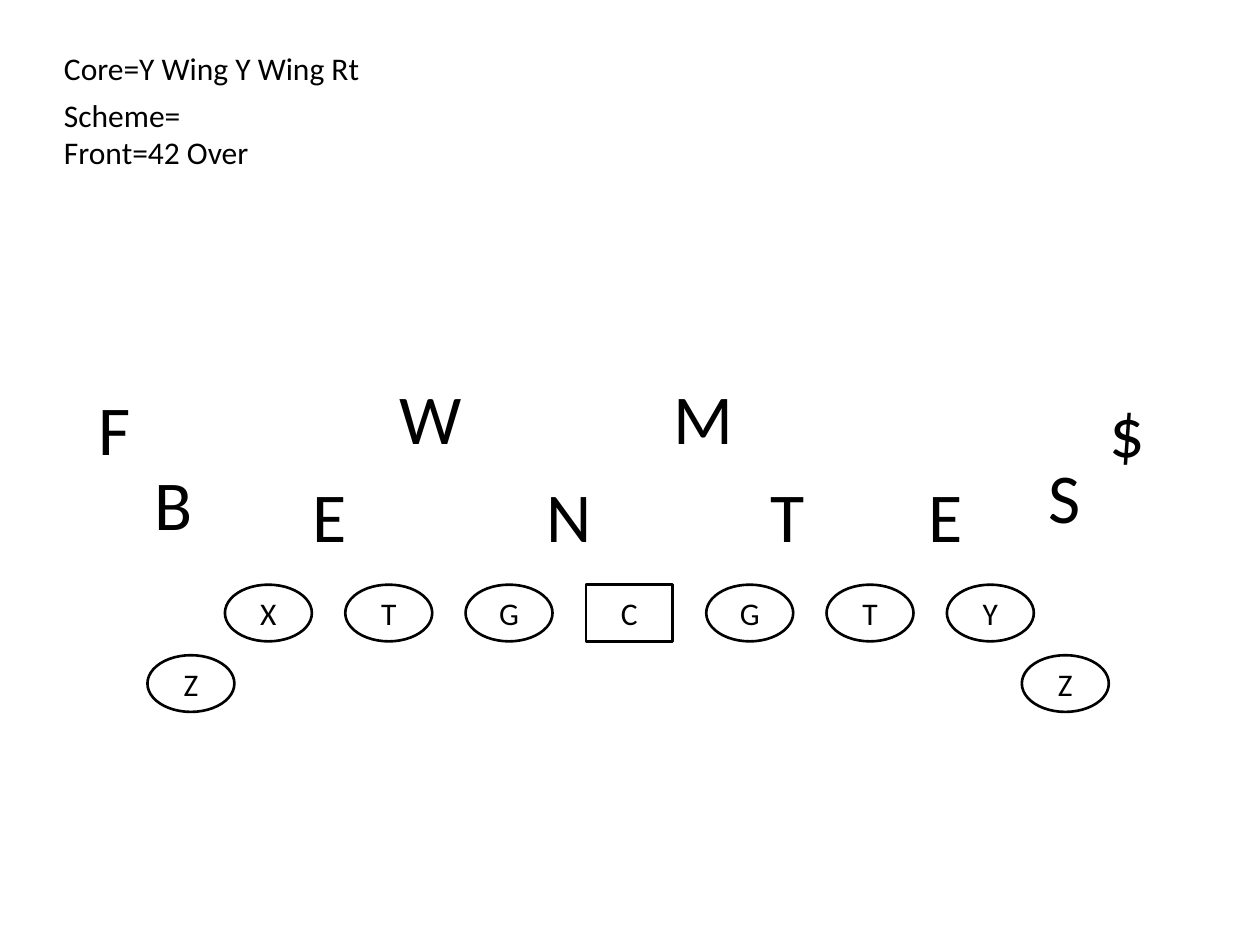
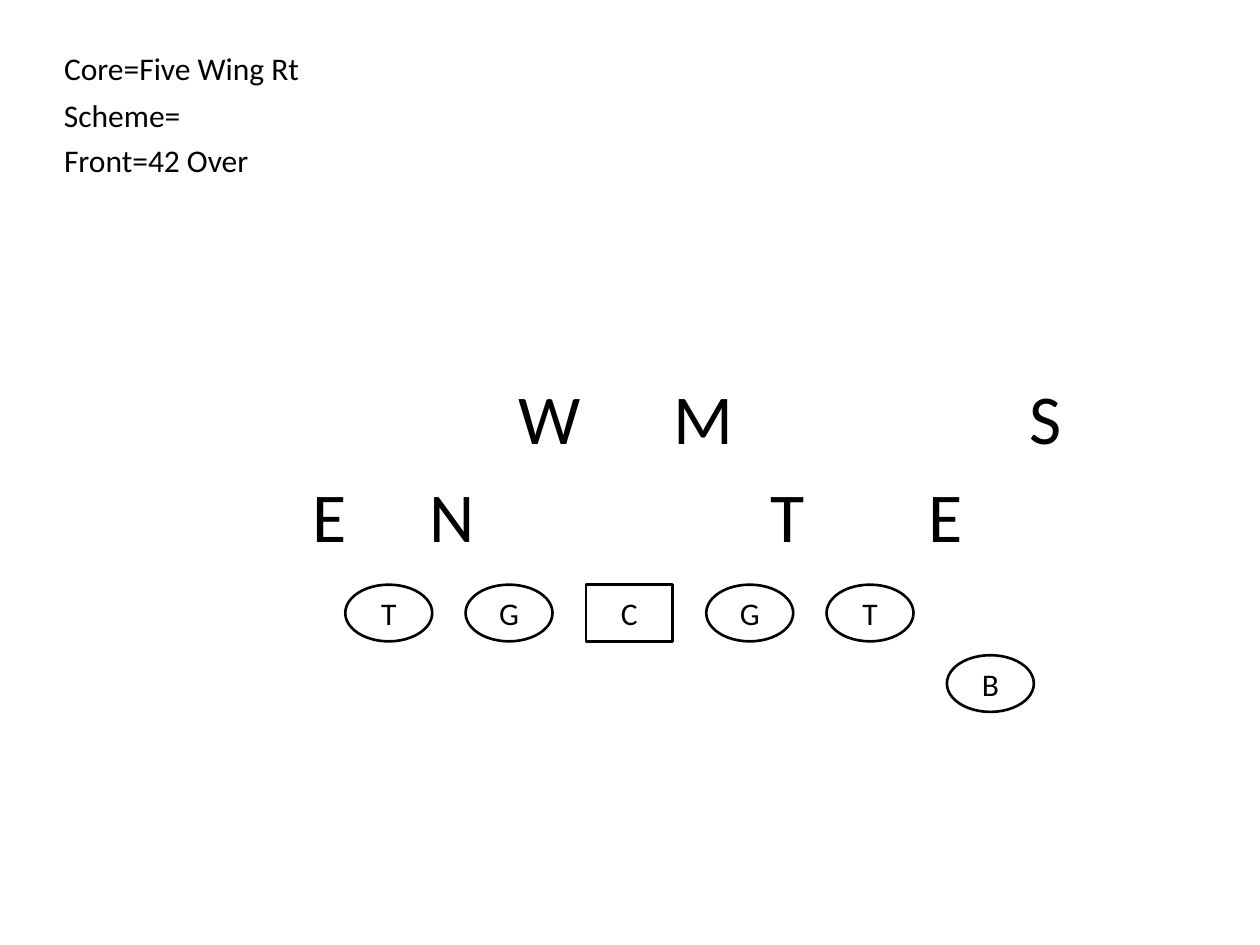
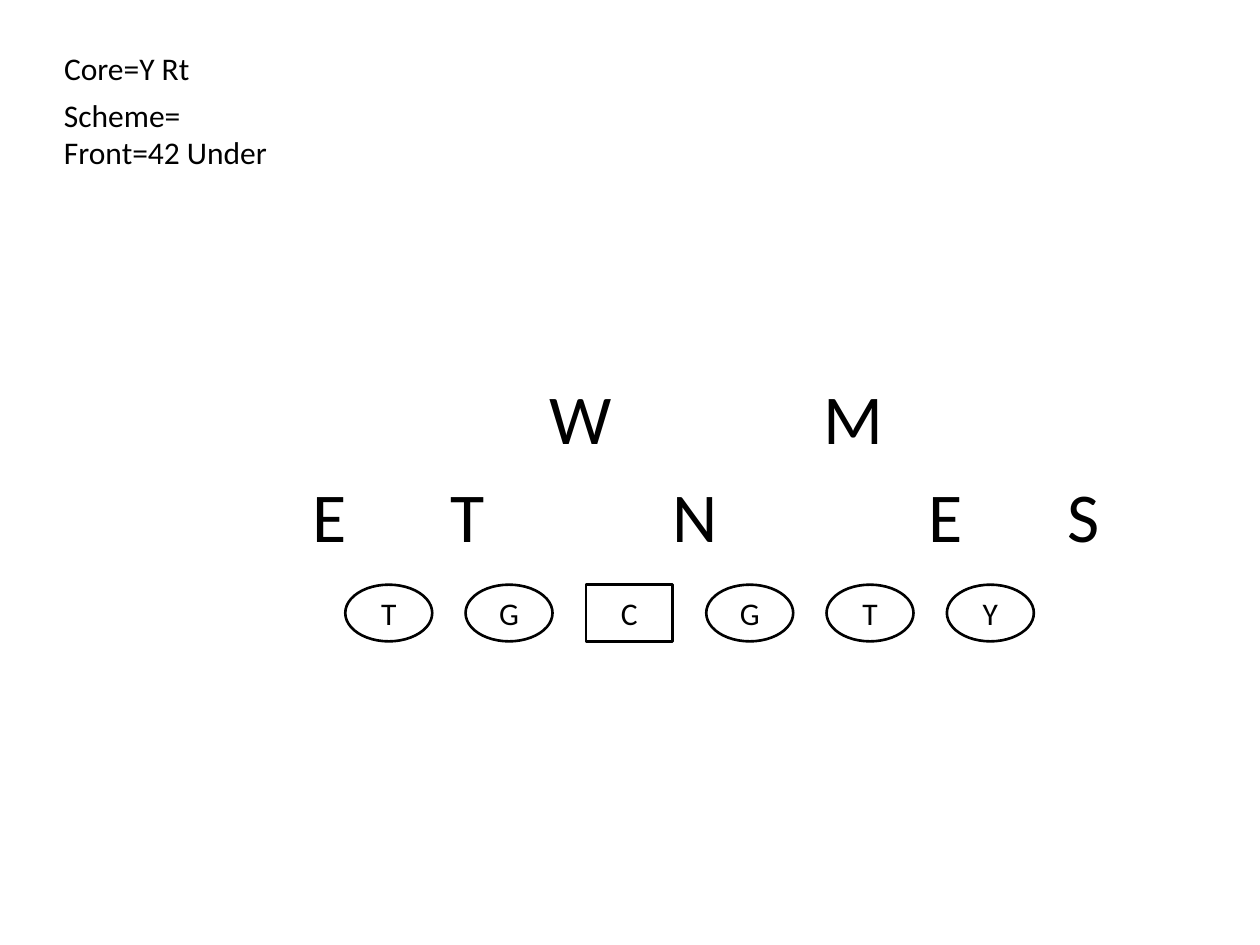
from pptx import Presentation
from pptx.dml.color import RGBColor
from pptx.enum.shapes import MSO_SHAPE
from pptx.enum.text import MSO_ANCHOR, MSO_AUTO_SIZE, PP_ALIGN
from pptx.util import Inches, Pt

BLACK = RGBColor(0x00, 0x00, 0x00)
WHITE = RGBColor(0xFF, 0xFF, 0xFF)

CENTER_LEFT = 4.65
LINE_PITCH = 0.955
LINE_TOP = 4.64
WING_TOP = 5.2
FRONT_TOP = 3.7
BACKER_TOP = 2.92

DEFENDER_WIDTHS = {"N": 0.56, "W": 0.7, "M": 0.7, "B": 0.51, "$": 0.39, "F": 0.35}
WRAPPED_DEFENDERS = {"$", "F"}


def slot_left(slot):
    """Left edge of a place on the line, counted from the center."""
    return CENTER_LEFT + slot * LINE_PITCH


class Playbook:
    font_name = "Calibri"
    note_size = Pt(18)
    defender_size = Pt(40)

    def __init__(self):
        self.deck = Presentation()
        self.deck.slide_width = Inches(10)
        self.deck.slide_height = Inches(7.5)
        self.slide = None

    def add_play(self, core, core_width, front, front_width, front_top=1.01):
        """Start a slide with its notes and the five interior linemen."""
        self.slide = self.deck.slides.add_slide(self.deck.slide_layouts[6])
        self.text(core, 0.41, 0.34, core_width, 0.4, self.note_size)
        self.text("Scheme=", 0.41, 0.71, 1.14, 0.4, self.note_size)
        self.text(front, 0.41, front_top, front_width, 0.4, self.note_size)
        for slot, position in enumerate("TGCGT", start=-2):
            self.player(position, slot_left(slot))

    def style(self, paragraph, size):
        paragraph.font.name = self.font_name
        paragraph.font.size = size
        paragraph.font.color.rgb = BLACK

    def text(self, words, left, top, width, height, size, wrap=False):
        box = self.slide.shapes.add_textbox(
            Inches(left), Inches(top), Inches(width), Inches(height))
        frame = box.text_frame
        frame.word_wrap = wrap
        frame.auto_size = MSO_AUTO_SIZE.SHAPE_TO_FIT_TEXT
        frame.text = words
        self.style(frame.paragraphs[0], size)

    def player(self, position, left, top=LINE_TOP):
        outline = MSO_SHAPE.RECTANGLE if position == "C" else MSO_SHAPE.OVAL
        marker = self.slide.shapes.add_shape(
            outline, Inches(left), Inches(top), Inches(0.69), Inches(0.45))
        marker.shadow.inherit = False
        marker.fill.solid()
        marker.fill.fore_color.rgb = WHITE
        marker.line.color.rgb = BLACK
        marker.line.width = Pt(1.5)
        frame = marker.text_frame
        frame.vertical_anchor = MSO_ANCHOR.MIDDLE
        frame.text = position
        frame.paragraphs[0].alignment = PP_ALIGN.CENTER
        self.style(frame.paragraphs[0], self.note_size)

    def defender(self, position, left, top):
        self.text(position, left, top, DEFENDER_WIDTHS.get(position, 0.48), 0.77,
                  self.defender_size, wrap=position in WRAPPED_DEFENDERS)

    def defenders(self, top, *places):
        """Place a row of defenders; the two ends always stand on the front."""
        for position, left in places:
            self.defender(position, left, top)

    def front(self, *tackles):
        self.defenders(FRONT_TOP, ("E", 2.38), *tackles, ("E", 7.27))

    def save(self):
        self.deck.save("out.pptx")


def main():
    book = Playbook()

    book.add_play("Core=Y Wing Y Wing Rt", 2.57, "Front=42 Over", 1.74)
    book.player("X", slot_left(-3))
    book.player("Y", slot_left(3))
    for wing_left in (1.17, 8.11):
        book.player("Z", wing_left, WING_TOP)
    book.front(("N", 4.24), ("T", 6.02))
    book.defenders(BACKER_TOP, ("W", 3.07), ("M", 5.25))
    book.defender("B", 1.13, 3.61)
    book.defender("S", 8.22, 3.55)
    book.defender("F", 0.68, 3.01)
    book.defender("$", 8.71, 3.03)

    book.add_play("Core=Five Wing Rt", 2.09, "Front=42 Over", 1.68, front_top=1.07)
    book.player("B", slot_left(3), WING_TOP)
    book.front(("N", 3.31), ("T", 6.02))
    book.defenders(BACKER_TOP, ("W", 4.02), ("M", 5.25), ("S", 8.07))

    book.add_play("Core=Y Rt", 1.21, "Front=42 Under", 1.83)
    book.player("Y", slot_left(3))
    book.front(("T", 3.48), ("N", 5.24))
    book.defender("S", 8.37, FRONT_TOP)
    book.defenders(BACKER_TOP, ("W", 4.26), ("M", 6.44))

    book.save()


if __name__ == "__main__":
    main()
